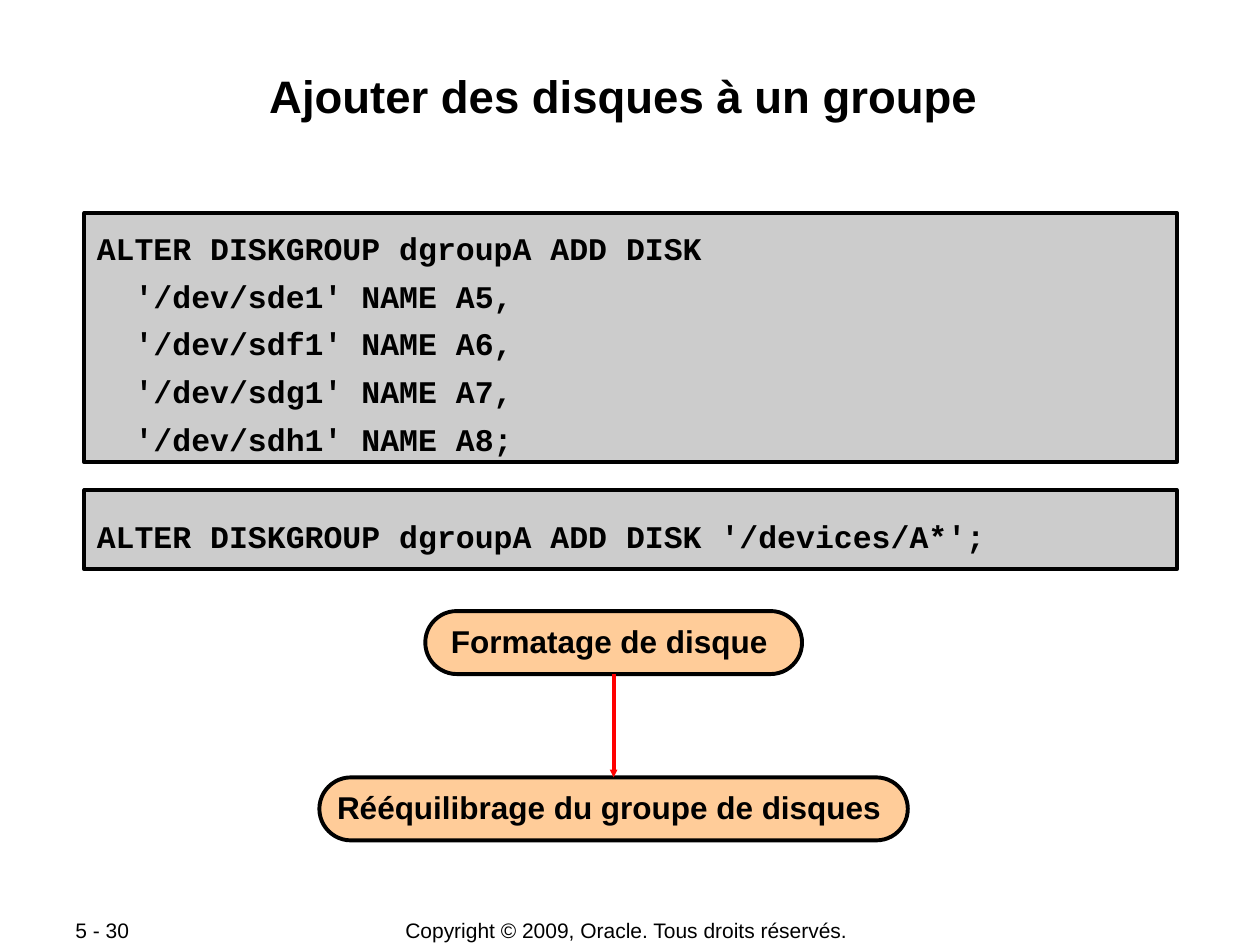
from pptx import Presentation
from pptx.dml.color import RGBColor
from pptx.enum.shapes import MSO_CONNECTOR, MSO_SHAPE
from pptx.enum.text import MSO_ANCHOR, PP_ALIGN
from pptx.oxml.ns import qn
from pptx.util import Inches, Pt
from lxml import etree

RECTANGLE = MSO_SHAPE.RECTANGLE
ROUNDED = MSO_SHAPE.ROUNDED_RECTANGLE
STRAIGHT = MSO_CONNECTOR.STRAIGHT
TOP, MIDDLE = MSO_ANCHOR.TOP, MSO_ANCHOR.MIDDLE
LEFT, CENTER = PP_ALIGN.LEFT, PP_ALIGN.CENTER
TOP_SITE, BOTTOM_SITE = 0, 2

COLORS = {"text": "000000", "code": "CCCCCC", "step": "FFCC99", "arrow": "FF0000"}
FONTS = {
    "title": {"name": "Arial", "size": Pt(26), "bold": True},
    "code": {"name": "Courier New", "size": Pt(18), "bold": True},
    "step": {"name": "Arial", "size": Pt(18), "bold": True},
    "footer": {"name": "Arial", "size": Pt(12), "bold": False},
}
CODE_LEFT, CODE_WIDTH = 0.67, 8.67
STEP_CENTER, STEP_HEIGHT = 4.87, 0.5
LINE_WIDTH = Pt(2.25)


class SlideBuilder:
    def __init__(self, slide):
        self.slide = slide

    def color(self, name):
        return RGBColor.from_string(COLORS[name])

    def fill_text(self, shape, lines, font, align, anchor, insets, wrap=True, spacing=None):
        frame = shape.text_frame
        left, top, right, bottom = (Inches(inset) for inset in insets)
        frame_format = {
            "word_wrap": wrap, "vertical_anchor": anchor,
            "margin_left": left, "margin_top": top,
            "margin_right": right, "margin_bottom": bottom,
        }
        for name, value in frame_format.items():
            setattr(frame, name, value)
        for index, line in enumerate(lines):
            paragraph = frame.add_paragraph() if index else frame.paragraphs[0]
            paragraph.alignment = align
            if index:
                paragraph.space_before = Pt(5.75)
            if spacing:
                paragraph.line_spacing = spacing
            run = paragraph.add_run()
            run.text = line
            for name, value in FONTS[font].items():
                setattr(run.font, name, value)
            run.font.color.rgb = self.color("text")

    def text(self, box, line, font, align, anchor, insets, wrap=True):
        shape = self.slide.shapes.add_textbox(*(Inches(length) for length in box))
        self.fill_text(shape, [line], font, align, anchor, insets, wrap)

    def panel(self, kind, box, fill):
        shape = self.slide.shapes.add_shape(kind, *(Inches(length) for length in box))
        shape.shadow.inherit = False
        shape.fill.solid()
        shape.fill.fore_color.rgb = self.color(fill)
        shape.line.color.rgb = self.color("text")
        shape.line.width = LINE_WIDTH
        return shape

    def code(self, top, height, lines):
        shape = self.panel(RECTANGLE, (CODE_LEFT, top, CODE_WIDTH, height), "code")
        self.fill_text(shape, lines, "code", LEFT, MIDDLE, (0.1, 0.1, 0.1, 0.01))

    def step(self, top, width, label):
        box = (STEP_CENTER - width / 2, top, width, STEP_HEIGHT)
        shape = self.panel(ROUNDED, box, "step")
        shape.adjustments[0] = 0.5
        self.fill_text(shape, [label], "step", CENTER, MIDDLE, (0.1, 0.05, 0.1, 0.05),
                       wrap=False, spacing=0.95)
        return shape

    def arrow(self, start, end):
        connector = self.slide.shapes.add_connector(STRAIGHT, 0, 0, 0, 0)
        connector.begin_connect(start, BOTTOM_SITE)
        connector.end_connect(end, TOP_SITE)
        connector.line.color.rgb = self.color("arrow")
        connector.line.width = LINE_WIDTH
        properties = connector._element.spPr
        line = properties.find(qn("a:ln"))
        etree.SubElement(line, qn("a:tailEnd"), type="triangle", w="sm", len="sm")
        etree.SubElement(properties, qn("a:effectLst"))


def main():
    presentation = Presentation()
    presentation.slide_width = Inches(10)
    presentation.slide_height = Inches(7.5)
    builder = SlideBuilder(presentation.slides.add_slide(presentation.slide_layouts[6]))

    footer_insets = (0.1, 0.05, 0.1, 0.05)
    builder.text((2.75, 7.28, 4.49, 0.21), "Copyright © 2009, Oracle. Tous droits réservés. ",
                 "footer", CENTER, MIDDLE, footer_insets, wrap=False)
    builder.text((0.5, 7.28, 1.06, 0.2), "5 - 30", "footer", LEFT, MIDDLE, footer_insets)
    builder.text((0.67, 0.48, 8.66, 0.96), "Ajouter des disques à un groupe ",
                 "title", CENTER, TOP, (0.01, 0.06, 0.01, 0.01))

    builder.code(1.69, 1.98, [
        "ALTER DISKGROUP dgroupA ADD DISK",
        "  '/dev/sde1' NAME A5,",
        "  '/dev/sdf1' NAME A6,",
        "  '/dev/sdg1' NAME A7,",
        "  '/dev/sdh1' NAME A8;",
    ])
    builder.code(3.89, 0.63, ["ALTER DISKGROUP dgroupA ADD DISK '/devices/A*';"])

    formatting = builder.step(4.85, 2.99, "Formatage de disque ")
    rebalancing = builder.step(6.17, 4.67, "Rééquilibrage du groupe de disques ")
    builder.arrow(formatting, rebalancing)

    presentation.save("out.pptx")


if __name__ == "__main__":
    main()
